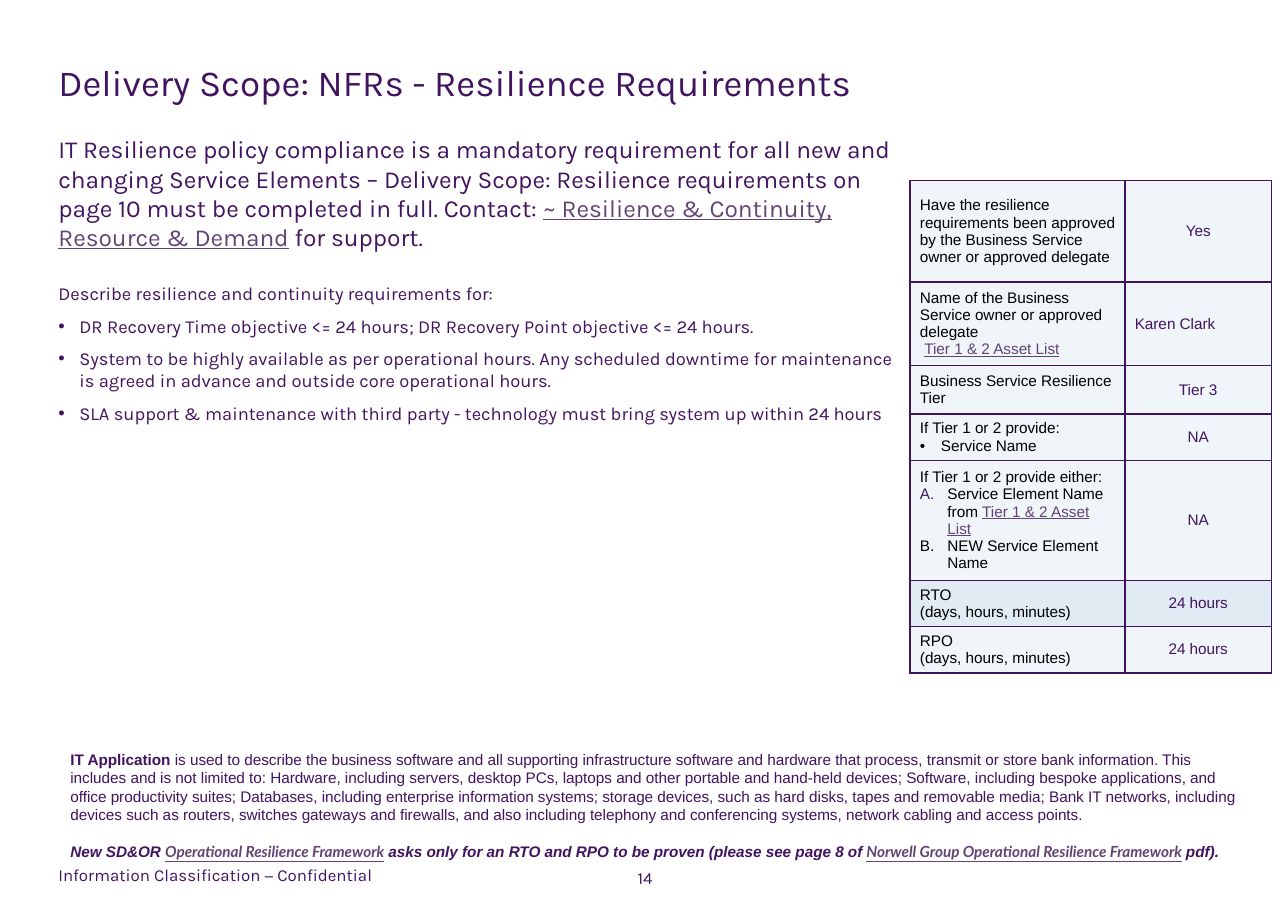
import dataclasses

import lxml.etree
import pptx
import pptx.dml.color
import pptx.enum.text
import pptx.oxml.ns
import pptx.util

Inches = pptx.util.Inches
Align = pptx.enum.text.PP_ALIGN
Anchor = pptx.enum.text.MSO_ANCHOR


@dataclasses.dataclass(frozen=True)
class Theme:
    purple: str = "42145F"
    link: str = "614474"
    black: str = "000000"
    pale: str = "F0F5F9"
    blue: str = "E0EBF4"
    brand_font: str = "Karla"
    plain_font: str = "Arial"
    link_font: str = "Lato"
    title_size: float = 24
    intro_size: float = 16
    list_size: float = 12
    footer_size: float = 11
    small_size: float = 10


THEME = Theme()


def add_xml(parent, tag, **attributes):
    return lxml.etree.SubElement(parent, pptx.oxml.ns.qn(tag), attributes)


def add_span(para, text, size, font, color, underline=False, bold=False, italic=False):
    span = para.add_run()
    span.text = text
    span.font.size = pptx.util.Pt(size)
    span.font.name = font
    span.font.color.rgb = pptx.dml.color.RGBColor.from_string(color)
    span.font.underline = underline
    span.font.bold = bold
    span.font.italic = italic


def set_bullet(para, kind=None, indent=0, color=None, hanging=True):
    """kind is None for no bullet, "dot" or "letter"."""
    props = para._p.get_or_add_pPr()
    props.set("marL", str(Inches(indent)))
    props.set("indent", str(-Inches(indent) if hanging else 0))
    if color:
        add_xml(add_xml(props, "a:buClr"), "a:srgbClr", val=color)
    if kind == "dot":
        add_xml(props, "a:buFont", typeface=THEME.plain_font)
        add_xml(props, "a:buChar", char="•")
    elif kind == "letter":
        add_xml(props, "a:buFont", typeface=THEME.plain_font)
        add_xml(props, "a:buAutoNum", type="alphaUcPeriod")
    else:
        add_xml(props, "a:buNone")


def next_para(frame, index):
    return frame.paragraphs[0] if index == 0 else frame.add_paragraph()


def place(shape, box, anchor=Anchor.TOP, inset=(0, 0)):
    """Move a text shape to its box and return its cleaned-up text frame."""
    shape.left, shape.top, shape.width, shape.height = (Inches(v) for v in box)
    frame = shape.text_frame
    frame.word_wrap = True
    frame.auto_size = pptx.enum.text.MSO_AUTO_SIZE.NONE
    frame.vertical_anchor = anchor
    frame.margin_left = frame.margin_right = Inches(inset[0])
    frame.margin_top = frame.margin_bottom = Inches(inset[1])
    return frame


def add_text_box(page, box, **options):
    return place(page.shapes.add_textbox(0, 0, 0, 0), box, **options)


def fill_title(page, box):
    para = place(page.shapes.title, box).paragraphs[0]
    para.alignment = Align.LEFT
    add_span(para, "Delivery Scope: NFRs - Resilience Requirements",
             THEME.title_size, THEME.brand_font, THEME.purple)


def fill_intro(page, box):
    para = place(page.placeholders[1], box).paragraphs[0]
    para.space_before = pptx.util.Pt(0)
    set_bullet(para)
    style = (THEME.intro_size, THEME.brand_font)
    add_span(para, "IT Resilience policy compliance is a mandatory requirement for all new "
             "and changing Service Elements – Delivery Scope: Resilience requirements on "
             "page 10 must be completed in full. Contact: ", *style, THEME.purple)
    add_span(para, "~ Resilience & Continuity, Resource & Demand", *style, THEME.link, True)
    add_span(para, " for support.", *style, THEME.purple)


def fill_requirements(page, box):
    frame = place(page.placeholders[2], box)
    lines = [
        "Describe resilience and continuity requirements for:",
        "DR Recovery Time objective <= 24 hours; DR Recovery Point objective <= 24 hours.",
        "System to be highly available as per operational hours. Any scheduled downtime for "
        "maintenance is agreed in advance and outside core operational hours.",
        "SLA support & maintenance with third party - technology must bring system up "
        "within 24 hours",
    ]
    for index, line in enumerate(lines):
        para = next_para(frame, index)
        para.space_before = pptx.util.Pt(7 if index else 0)
        if index:
            set_bullet(para, "dot", 0.19, THEME.purple)
        else:
            set_bullet(para)
        add_span(para, line, THEME.list_size, THEME.brand_font, THEME.purple)


def style_cell(cell, fill):
    props = cell._tc.get_or_add_tcPr()
    for side in ("a:lnL", "a:lnR", "a:lnT", "a:lnB"):
        line = add_xml(props, side, w=str(pptx.util.Pt(1)))
        add_xml(add_xml(line, "a:solidFill"), "a:srgbClr", val=THEME.purple)
    cell.fill.solid()
    cell.fill.fore_color.rgb = pptx.dml.color.RGBColor.from_string(fill)
    cell.vertical_anchor = Anchor.MIDDLE
    cell.margin_left = cell.margin_right = Inches(0.09)
    cell.margin_top = cell.margin_bottom = Inches(0.05)


def add_resilience_table(page, box):
    asset_list = "Tier 1 & 2 Asset List"
    # Each question line: plain text, linked text, bullet settings
    period = "(days, hours, minutes)"
    rows = [
        (0.92, [("Have the resilience requirements been approved by the Business Service "
                 "owner or approved delegate", "", {})], "Yes"),
        (0.76, [("Name of the Business Service owner or approved delegate", "", {}),
                ("", asset_list, {"indent": 0.04, "hanging": False})], "Karen Clark"),
        (0.44, [("Business Service Resilience Tier", "", {})], "Tier 3"),
        (0.42, [("If Tier 1 or 2 provide:", "", {}),
                ("Service Name", "", {"kind": "dot", "indent": 0.19})], "NA"),
        (1.09, [("If Tier 1 or 2 provide either:", "", {}),
                ("Service Element Name from ", asset_list,
                 {"kind": "letter", "indent": 0.25, "color": THEME.purple}),
                ("NEW Service Element Name", "", {"kind": "letter", "indent": 0.25})], "NA"),
        (0.42, [("RTO", "", {}), (period, "", {})], "24 hours"),
        (0.42, [("RPO", "", {}), (period, "", {})], "24 hours"),
    ]
    table = page.shapes.add_table(len(rows), 2, *(Inches(v) for v in box)).table
    table.first_row = table.horz_banding = False
    table.columns[0].width = Inches(1.95)
    table.columns[1].width = Inches(box[2] - 1.95)
    style = (THEME.small_size, THEME.plain_font)
    for number, (height, question, answer) in enumerate(rows):
        table.rows[number].height = Inches(height)
        label, value = table.cell(number, 0), table.cell(number, 1)
        for cell in (label, value):
            style_cell(cell, THEME.blue if question[0][0] == "RTO" else THEME.pale)
        for index, (text, linked, bullet) in enumerate(question):
            para = next_para(label.text_frame, index)
            set_bullet(para, **bullet)
            if text:
                add_span(para, text, *style, THEME.black)
            if linked:
                add_span(para, linked, *style, THEME.link, True)
        para = value.text_frame.paragraphs[0]
        para.alignment = Align.LEFT if answer == "Karen Clark" else Align.CENTER
        add_span(para, answer, *style, THEME.purple)


def add_definition(page, box):
    frame = add_text_box(page, box, inset=(0.1, 0.05))
    plain = (THEME.small_size, THEME.plain_font, THEME.purple)
    linked = (THEME.small_size, THEME.link_font, THEME.link, True)
    para = frame.paragraphs[0]
    add_span(para, "IT Application", *plain, bold=True)
    add_span(para, " is used to describe the business software and all supporting "
             "infrastructure software and hardware that process, transmit or store bank "
             "information. This includes and is not limited to: Hardware, including servers, "
             "desktop PCs, laptops and other portable and hand-held devices; Software, "
             "including bespoke applications, and office productivity suites; Databases, "
             "including enterprise information systems; storage devices, such as hard disks, "
             "tapes and removable media; Bank IT networks, including devices such as routers, "
             "switches gateways and firewalls, and also including telephony and conferencing "
             "systems, network cabling and access points.", *plain)
    para = frame.add_paragraph()
    para.space_before = pptx.util.Pt(12)
    for text, style in (
        ("New SD&OR ", plain),
        ("Operational Resilience Framework", linked),
        (" asks only for an RTO and RPO to be proven (please see page 8 of ", plain),
        ("Norwell Group Operational Resilience Framework", linked),
        (" pdf).", plain),
    ):
        add_span(para, text, *style, bold=True, italic=True)


def add_footer(page, box, text, align):
    para = add_text_box(page, box, anchor=Anchor.MIDDLE).paragraphs[0]
    para.alignment = align
    add_span(para, text, THEME.footer_size, THEME.brand_font, THEME.purple)


def main():
    deck = pptx.Presentation()
    deck.slide_width, deck.slide_height = Inches(11.69), Inches(8.27)
    page = deck.slides.add_slide(deck.slide_layouts.get_by_name("Two Content"))
    # Heading and requirements
    fill_title(page, (0.53, 0.54, 9.37, 0.59))
    fill_intro(page, (0.53, 1.22, 7.62, 0.51))
    fill_requirements(page, (0.53, 2.56, 7.61, 4.15))
    # Approval table and definition
    add_resilience_table(page, (8.26, 1.64, 3.28, 4.47))
    add_definition(page, (0.54, 6.76, 10.89, 1.11))
    # Footer
    add_footer(page, (0.53, 7.79, 3, 0.3), "Information Classification − Confidential", Align.LEFT)
    add_footer(page, (5.53, 7.82, 0.65, 0.3), "14", Align.CENTER)
    deck.save("out.pptx")


if __name__ == "__main__":
    main()
